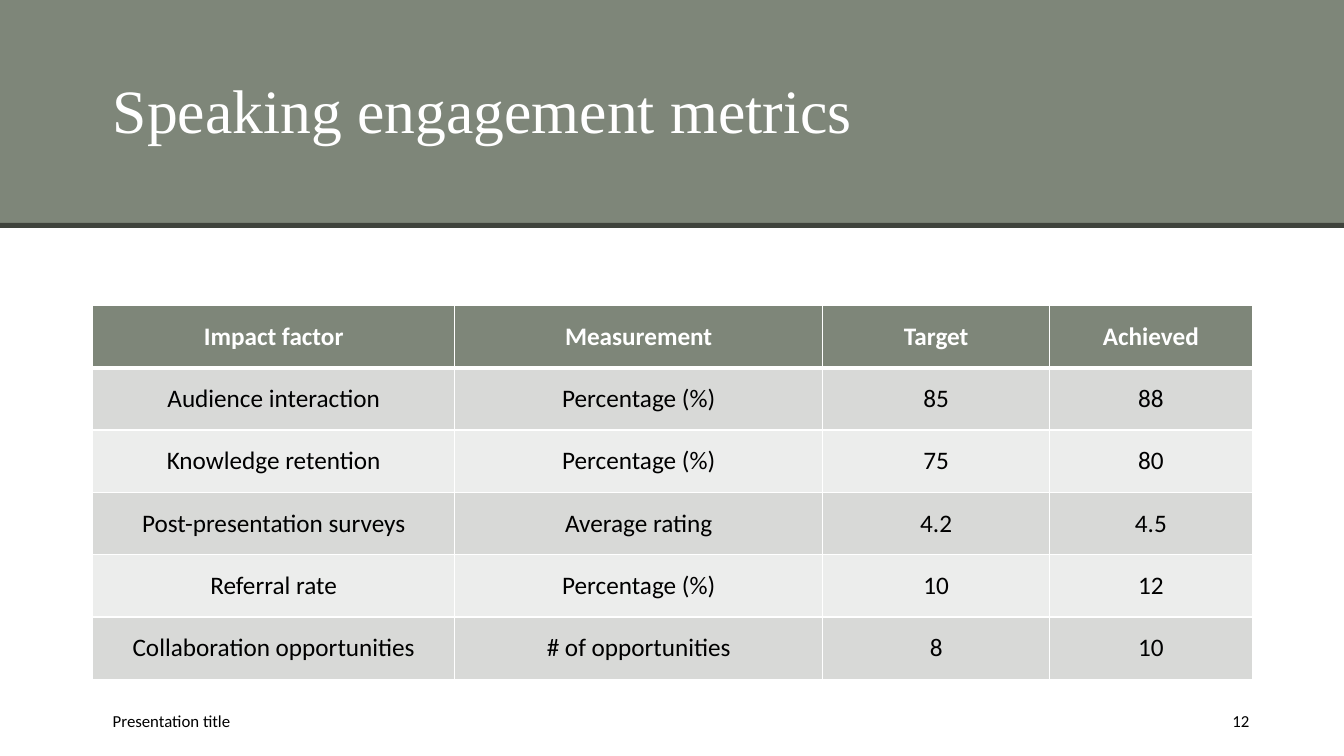
from lxml import etree
from pptx import Presentation
from pptx.dml.color import RGBColor
from pptx.enum.shapes import MSO_SHAPE
from pptx.enum.text import MSO_ANCHOR, PP_ALIGN
from pptx.oxml.ns import qn
from pptx.util import Inches, Pt

RECT = MSO_SHAPE.RECTANGLE
MIDDLE = MSO_ANCHOR.MIDDLE
LEFT, CENTER, RIGHT = PP_ALIGN.LEFT, PP_ALIGN.CENTER, PP_ALIGN.RIGHT

COLORS = {
    "sage": "7E8679",
    "dark": "3F433C",
    "odd": "D8D9D7",
    "even": "ECEDEC",
    "white": "FFFFFF",
    "black": "000000",
}
FONTS = {
    "title": {"name": "Times New Roman", "size": Pt(44)},
    "foot": {"name": "Calibri", "size": Pt(12)},
    "head": {"name": "Calibri", "size": Pt(18), "bold": True},
    "body": {"name": "Calibri", "size": Pt(18), "bold": False},
}
WIDTHS = [3.59, 3.65, 2.25, 2.01]
ROWS = [
    ["Impact factor", "Measurement", "Target", "Achieved"],
    ["Audience interaction", "Percentage (%)", "85", "88"],
    ["Knowledge retention", "Percentage (%)", "75", "80"],
    ["Post-presentation surveys", "Average rating", "4.2", "4.5"],
    ["Referral rate", "Percentage (%)", "10", "12"],
    ["Collaboration opportunities", "# of opportunities", "8", "10"],
]


def color(name):
    return RGBColor.from_string(COLORS[name])


def write(frame, text, style, ink, align=LEFT):
    """Put one styled paragraph in a text frame."""
    para = frame.paragraphs[0]
    para.alignment = align
    run = para.add_run()
    run.text = text
    for key, value in FONTS[style].items():
        setattr(run.font, key, value)
    run.font.color.rgb = color(ink)
    return para


def add_bar(slide, box, fill):
    bar = slide.shapes.add_shape(RECT, *map(Inches, box))
    bar.shadow.inherit = False
    bar.fill.solid()
    bar.fill.fore_color.rgb = color(fill)
    bar.line.fill.background()


def add_label(slide, box, text, style, ink, align=LEFT):
    frame = slide.shapes.add_textbox(*map(Inches, box)).text_frame
    frame.word_wrap = True
    frame.vertical_anchor = MIDDLE
    return write(frame, text, style, ink, align)


def add_edge(cell, side, width):
    """Draw one white cell border, width in points."""
    props = cell._tc.get_or_add_tcPr()
    line = etree.SubElement(props, qn(f"a:ln{side}"), w=str(Pt(width)))
    fill = etree.SubElement(line, qn("a:solidFill"))
    etree.SubElement(fill, qn("a:srgbClr"), val=COLORS["white"])


def add_header(slide, box):
    left, top, width, height = box
    add_bar(slide, box, "sage")
    add_bar(slide, (left, top + height - 0.03, width, 0.05), "dark")
    place = (left + 1.02, top + 0.25, 10.42, height - 0.49)
    title = add_label(slide, place, "Speaking engagement metrics", "title", "white")
    title.line_spacing = 0.9


def add_metrics(slide, box):
    frame = slide.shapes.add_table(len(ROWS), len(WIDTHS), *map(Inches, box))
    table = frame.table
    for col, width in zip(table.columns, WIDTHS):
        col.width = Inches(width)
    for r, texts in enumerate(ROWS):
        table.rows[r].height = Inches(box[3] / len(ROWS))
        if r == 0:
            fill, style, ink = "sage", "head", "white"
        else:
            fill, style, ink = ("odd" if r % 2 else "even"), "body", "black"
        edges = {"L": 1, "R": 1, "T": 3 if r == 1 else 1, "B": 3 if r == 0 else 1}
        for c, text in enumerate(texts):
            cell = table.cell(r, c)
            for side, width in edges.items():
                add_edge(cell, side, width)
            cell.fill.solid()
            cell.fill.fore_color.rgb = color(fill)
            cell.vertical_anchor = MIDDLE
            write(cell.text_frame, text, style, ink, CENTER)


def add_footer(slide, box):
    left, top, width, height = box
    add_label(slide, (left, top, 4.5, height), "Presentation title", "foot", "black")
    place = (left + width - 0.86, top, 0.86, height)
    add_label(slide, place, "12", "foot", "black", RIGHT)


def main():
    deck = Presentation()
    deck.slide_width, deck.slide_height = Inches(13.33), Inches(7.5)
    slide = deck.slides.add_slide(deck.slide_layouts[6])
    add_header(slide, (0, 0, 13.33, 2.24))
    add_footer(slide, (1.02, 6.95, 11.47, 0.4))
    add_metrics(slide, (0.92, 3.03, 11.5, 3.71))
    deck.save("out.pptx")


if __name__ == "__main__":
    main()
